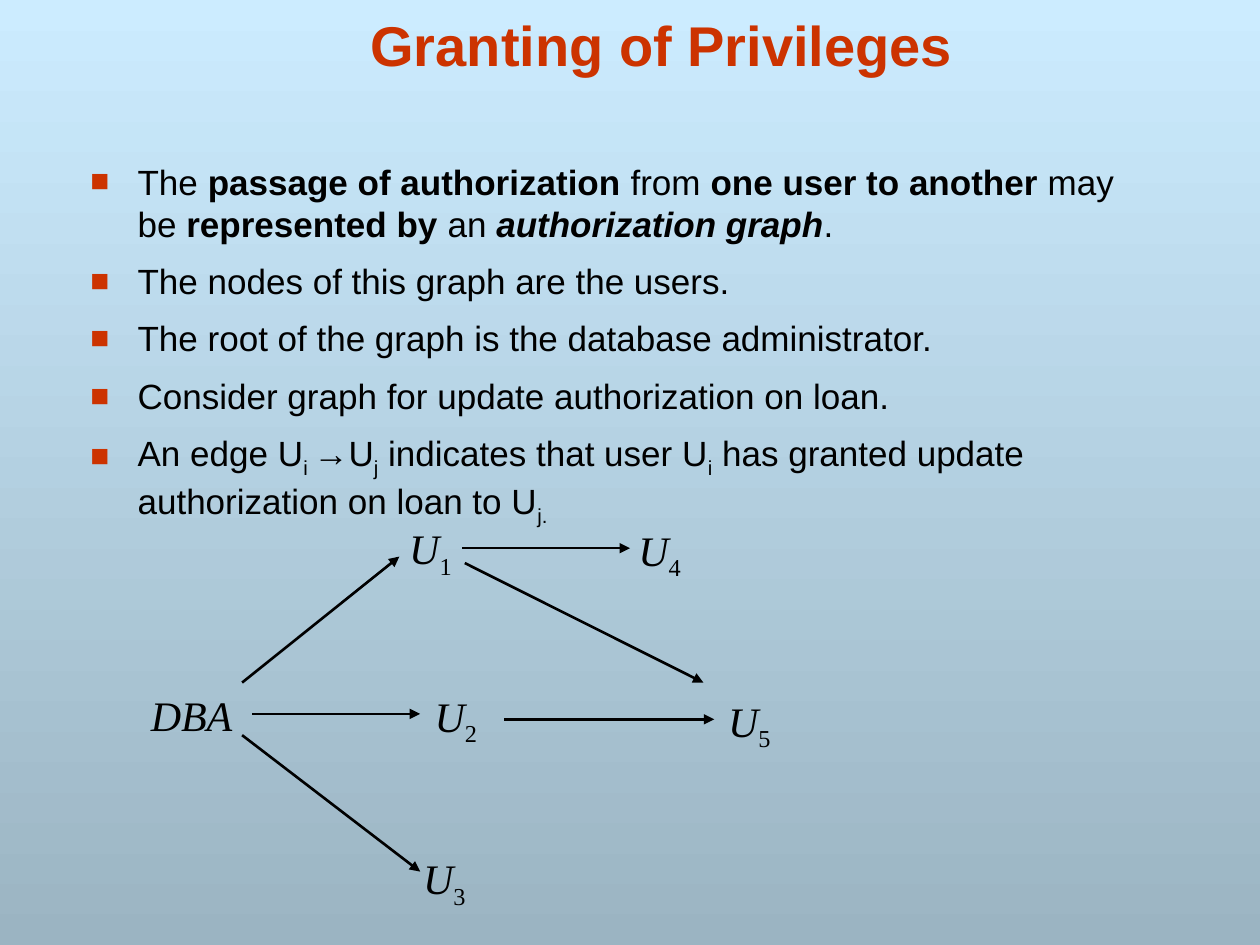
from lxml.etree import SubElement
from pptx import Presentation
from pptx.dml.color import RGBColor
from pptx.enum.shapes import MSO_CONNECTOR
from pptx.enum.text import MSO_ANCHOR, MSO_AUTO_SIZE, PP_ALIGN
from pptx.oxml.ns import qn
from pptx.util import Cm, Pt

COLORS = {"top": "CCECFF", "bottom": "9BB4C2", "accent": "CC3300", "ink": "000000"}
TITLE = {"name": "Arial", "size": Pt(32), "bold": True}
BODY = {"name": "Arial", "size": Pt(20), "bold": False}
NODE = {"name": "Times New Roman", "size": Pt(24), "italic": True}


def add_span(para, text, color, style, subscript=False):
    span = para.add_run()
    span.text = text
    for attribute, value in style.items():
        setattr(span.font, attribute, value)
    span.font.color.rgb = RGBColor.from_string(COLORS[color])
    if subscript:
        span.font._element.set("baseline", "-25000")


def place(shape, left, top, width, height):
    shape.left, shape.top = Cm(left), Cm(top)
    shape.width, shape.height = Cm(width), Cm(height)


deck = Presentation()
deck.slide_width, deck.slide_height = Cm(25.4), Cm(19.05)
page = deck.slides.add_slide(deck.slide_layouts[1])

# Background: vertical gradient
fill = page.background.fill
fill.gradient()
fill.gradient_angle = 270
for stop, name, position in zip(fill.gradient_stops, ("top", "bottom"), (0, 1)):
    stop.color.rgb = RGBColor.from_string(COLORS[name])
    stop.position = position

# Title
title = page.shapes.title
place(title, 2.12, 0, 22.44, 1.69)
title.text_frame.vertical_anchor = MSO_ANCHOR.BOTTOM
title.text_frame.auto_size = MSO_AUTO_SIZE.NONE
title_para = title.text_frame.paragraphs[0]
title_para.alignment = PP_ALIGN.CENTER
add_span(title_para, "Granting of Privileges", "accent", TITLE)

# Bullet list: each span is its text and its mark (bold, bold italic, subscript)
STYLES = {"": {}, "b": {"bold": True}, "bi": {"bold": True, "italic": True}, "sub": {}}
BULLETS = [
    [("The ", ""), ("passage of authorization", "b"), (" from ", ""),
     ("one user to another", "b"), (" may be ", ""), ("represented by ", "b"),
     ("an ", ""), ("authorization graph", "bi"), (".", "")],
    [("The nodes of this graph are the users.", "")],
    [("The root of the graph is the database administrator.", "")],
    [("Consider graph for update authorization on loan.", "")],
    [("An edge U", ""), ("i ", "sub"), ("→U", ""), ("j", "sub"),
     (" indicates that user U", ""), ("i", "sub"),
     (" has granted update authorization on loan to U", ""), ("j.", "sub")],
]
body = page.placeholders[1]
place(body, 1.57, 3.1, 21.8, 13.54)
frame = body.text_frame
frame.auto_size = MSO_AUTO_SIZE.NONE
for index, spans in enumerate(BULLETS):
    para = frame.add_paragraph() if index else frame.paragraphs[0]
    properties = para._p.get_or_add_pPr()
    properties.set("marL", str(Cm(0.95)))
    properties.set("indent", str(Cm(-0.95)))
    bullet_color = SubElement(properties, qn("a:buClr"))
    SubElement(bullet_color, qn("a:srgbClr"), val=COLORS["accent"])
    SubElement(properties, qn("a:buSzPct"), val="90000")
    SubElement(properties, qn("a:buFont"), typeface="Arial")
    SubElement(properties, qn("a:buChar"), char="■")
    para.space_before = Pt(8.8 if index else 0)
    for text, mark in spans:
        add_span(para, text, "ink", {**BODY, **STYLES[mark]}, mark == "sub")

# Graph edges: start and end points
EDGES = [
    (4.88, 13.76, 8.05, 11.22),   # DBA to U1
    (9.32, 11.05, 12.7, 11.05),   # U1 to U4
    (5.08, 14.39, 8.47, 14.39),   # DBA to U2
    (4.88, 14.82, 8.47, 17.57),   # DBA to U3
    (10.16, 14.5, 14.4, 14.5),    # U2 to U5
    (9.37, 11.35, 14.18, 13.76),  # U1 to U5
]
for points in EDGES:
    edge = page.shapes.add_connector(MSO_CONNECTOR.STRAIGHT, *map(Cm, points))
    edge.line.width = Pt(1.5)
    edge.line.color.rgb = RGBColor.from_string(COLORS["ink"])
    SubElement(edge.line._get_or_add_ln(), qn("a:tailEnd"), type="triangle")
    SubElement(edge._element.spPr, qn("a:effectLst"))

# Graph nodes: name, subscript, left, top, width, height
NODES = [
    ("U", "1", 8, 10.41, 1.37, 1.42),
    ("U", "4", 12.62, 10.44, 1.37, 1.42),
    ("U", "2", 8.51, 13.79, 1.37, 1.42),
    ("U", "5", 14.43, 13.89, 1.37, 1.42),
    ("U", "3", 8.28, 17.07, 1.37, 1.42),
    ("DBA", "", 2.79, 13.77, 2.16, 1.27),
]
for name, number, *bounds in NODES:
    box = page.shapes.add_textbox(*map(Cm, bounds))
    box.text_frame.word_wrap = False
    box.text_frame.auto_size = MSO_AUTO_SIZE.SHAPE_TO_FIT_TEXT
    node_para = box.text_frame.paragraphs[0]
    add_span(node_para, name, "ink", NODE)
    if number:
        add_span(node_para, number, "ink", {**NODE, "italic": False}, True)

deck.save("out.pptx")
